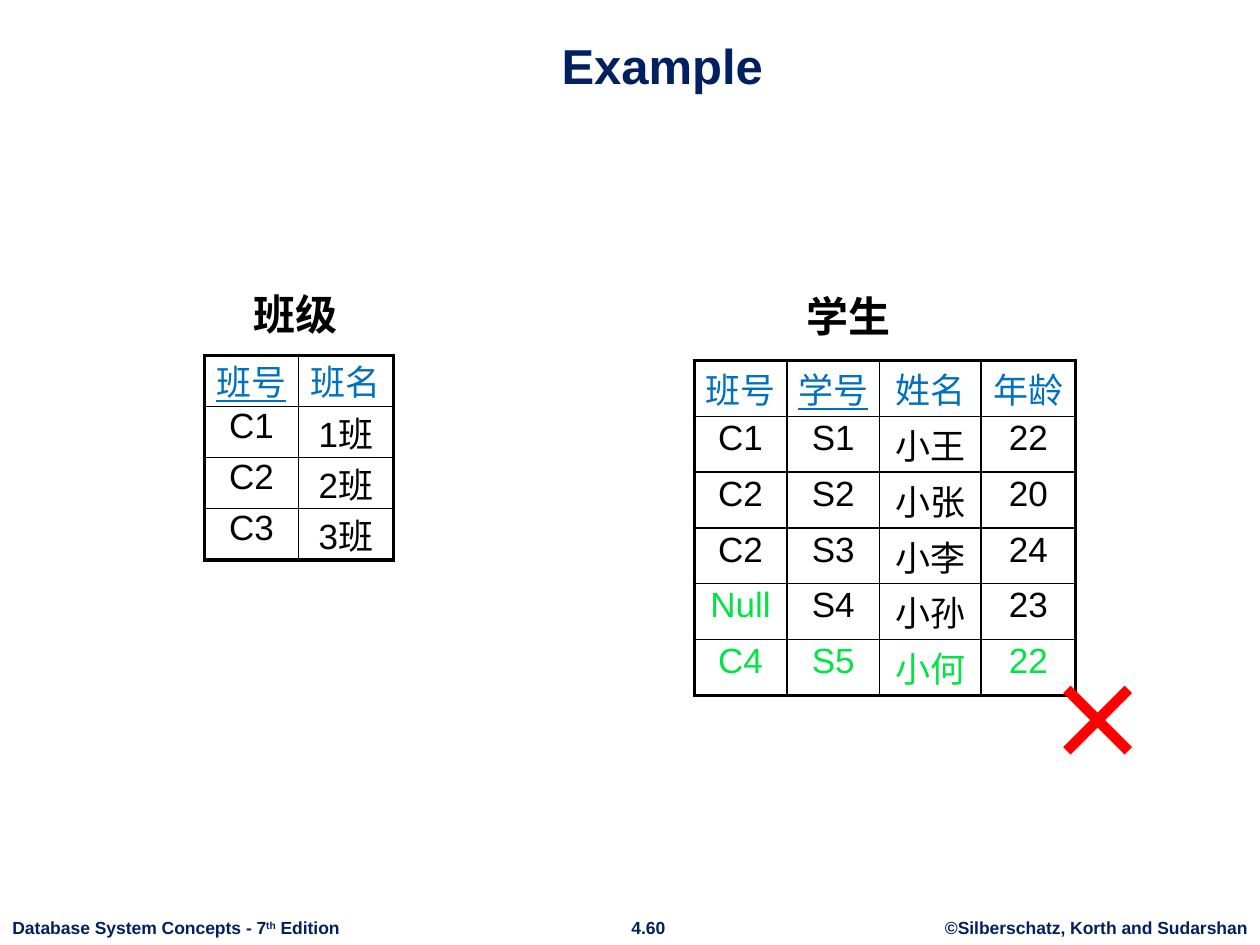
from pptx import Presentation
from pptx.dml.color import RGBColor
from pptx.enum.text import MSO_ANCHOR, PP_ALIGN
from pptx.oxml.ns import qn
from pptx.util import Pt
from lxml.etree import SubElement

NAVY, BLUE, BLACK, GREEN, RED = "002060", "0070C0", "000000", "00E444", "FF0000"
CHINESE_FONT = "Noto Sans CJK SC"
FOOTER = {"size": Pt(10), "bold": True, "name": "Arial"}
HEADING = {"size": Pt(24), "bold": True, "name": "Karla"}
CELL = {"size": Pt(20), "bold": False, "name": "Arial"}


def color(value):
    return RGBColor.from_string(value)


def add_span(para, text, tone, formats, baseline=0):
    span = para.add_run()
    span.text = text
    for name, value in formats.items():
        setattr(span.font, name, value)
    span.font.color.rgb = color(tone)
    properties = span._r.get_or_add_rPr()
    if baseline:
        properties.set("baseline", str(baseline))
    SubElement(properties, qn("a:ea"), typeface=CHINESE_FONT)


def add_text(page, place, text, tone, formats, align=PP_ALIGN.LEFT, **frame_formats):
    box = page.shapes.add_textbox(*map(Pt, place))
    frame = box.text_frame
    for name, value in {"word_wrap": True, **frame_formats}.items():
        setattr(frame, name, value)
    para = frame.paragraphs[0]
    para.alignment = align
    if text:
        add_span(para, text, tone, formats)
    return para


def set_borders(cell, widths):
    properties = cell._tc.get_or_add_tcPr()
    for side, width in zip("LRTB", widths):
        line = SubElement(properties, qn(f"a:ln{side}"), w=str(Pt(width)))
        fill = SubElement(line, qn("a:solidFill"))
        SubElement(fill, qn("a:srgbClr"), val=BLACK)


def add_grid(page, left, top, widths, row_height, margin, rows, key, green=()):
    last_row, last_column = len(rows) - 1, len(widths) - 1
    table = page.shapes.add_table(
        len(rows), len(widths), Pt(left), Pt(top),
        Pt(sum(widths)), Pt(row_height * len(rows))).table
    table.first_row = table.horz_banding = False
    for column, width in zip(table.columns, widths):
        column.width = Pt(width)
    for r, texts in enumerate(rows):
        table.rows[r].height = Pt(row_height)
        for c, text in enumerate(texts):
            cell = table.cell(r, c)
            cell.margin_left = cell.margin_right = 0
            cell.margin_top = cell.margin_bottom = Pt(margin)
            outer = (c == 0, c == last_column, r == 0, r == last_row)
            set_borders(cell, [2.25 if edge else 1 for edge in outer])
            if r == 0:
                cell.fill.solid()
                cell.fill.fore_color.rgb = color("FFFFFF")
            else:
                cell.fill.background()
            tone = BLUE if r == 0 else GREEN if (r, c) in green else BLACK
            para = cell.text_frame.paragraphs[0]
            para.alignment = PP_ALIGN.CENTER
            add_span(para, text, tone, {**CELL, "underline": (r, c) == (0, key)})


def add_footer(page):
    top, height = 520.5, 19.5
    add_text(page, (532.8, top, 187.2, height), "©Silberschatz, Korth and Sudarshan",
             NAVY, FOOTER, PP_ALIGN.CENTER, word_wrap=False)
    add_text(page, (352.8, top, 35.3, height), "4.60",
             NAVY, FOOTER, PP_ALIGN.CENTER, word_wrap=False)
    edition = add_text(page, (0, top, 202.3, height), "Database System Concepts - 7",
                       NAVY, FOOTER, word_wrap=False)
    add_span(edition, "th", NAVY, FOOTER, baseline=30000)
    add_span(edition, " Edition", NAVY, FOOTER)


def main():
    deck = Presentation()
    deck.slide_width, deck.slide_height = Pt(720), Pt(540)
    page = deck.slides.add_slide(deck.slide_layouts[6])
    add_footer(page)
    add_text(page, (60.5, 9.4, 635.8, 48.2), "Example", NAVY,
             {"size": Pt(28), "bold": True, "name": "Arial"},
             PP_ALIGN.CENTER, vertical_anchor=MSO_ANCHOR.BOTTOM)

    students = [
        ("班号", "学号", "姓名", "年龄"),
        ("C1", "S1", "小王", "22"),
        ("C2", "S2", "小张", "20"),
        ("C2", "S3", "小李", "24"),
        ("Null", "S4", "小孙", "23"),
        ("C4", "S5", "小何", "22"),
    ]
    green = {(4, 0)} | {(5, column) for column in range(4)}
    add_grid(page, 396.7, 206, (53, 53, 58, 54), 31.9, 1.44, students, 1, green)
    add_text(page, (453.6, 162.7, 66.2, 36), "学生", BLACK, HEADING)

    classes = [("班号", "班名"), ("C1", "1班"), ("C2", "2班"), ("C3", "3班")]
    add_grid(page, 116.7, 203, (54, 54), 29.25, 0, classes, 0)
    add_text(page, (137.5, 161.3, 66.2, 36), "班级", BLACK, HEADING)

    add_text(page, (597.6, 370.8, 56.2, 79.9), "×", RED,
             {"size": Pt(60), "bold": True, "name": CHINESE_FONT},
             margin_left=0, margin_right=0)
    deck.save("out.pptx")


if __name__ == "__main__":
    main()
